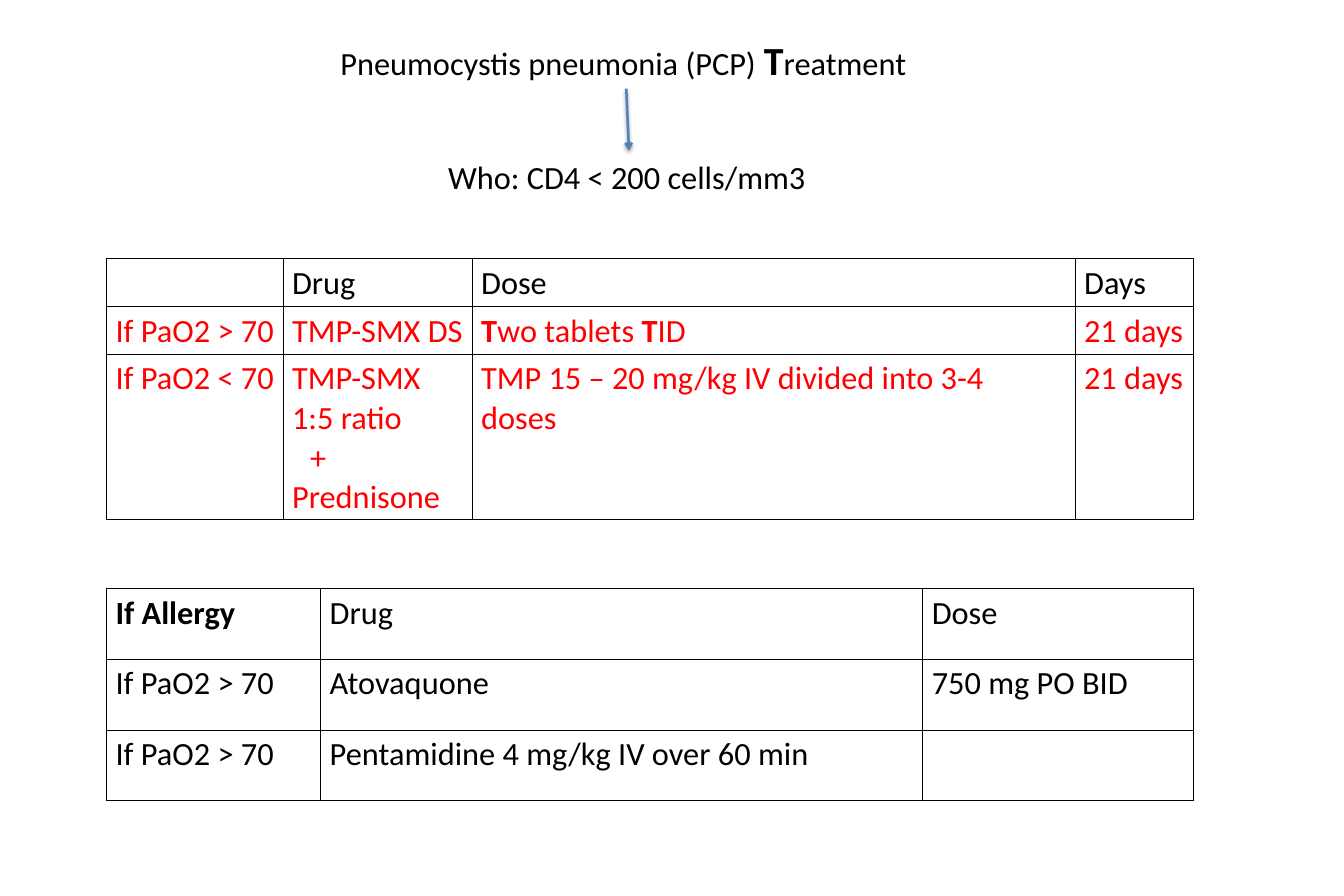
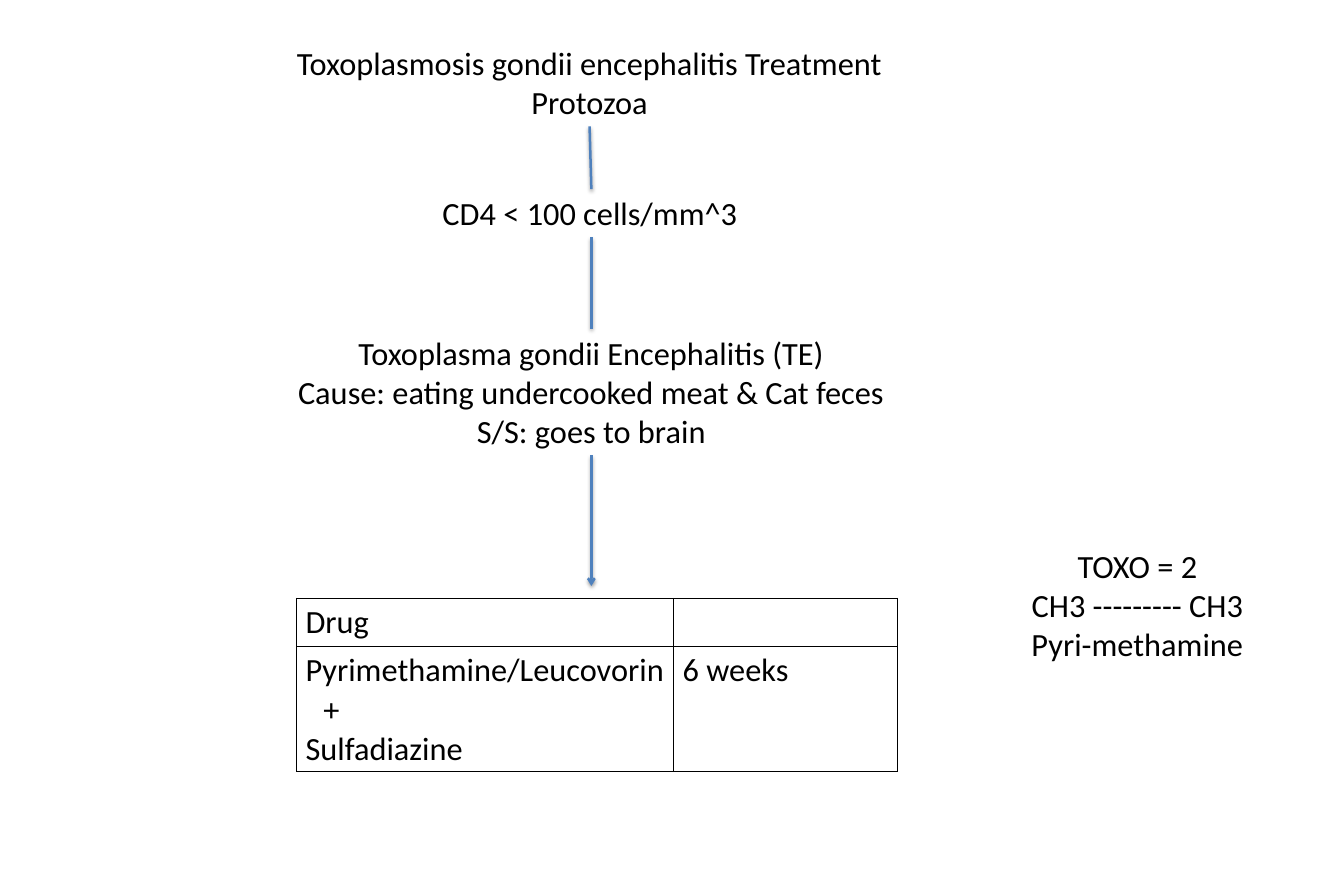
from lxml import etree
from pptx import Presentation
from pptx.dml.color import RGBColor
from pptx.enum import shapes, text
from pptx.oxml import parse_xml
from pptx.util import Inches, Pt

FONT = "Calibri"
SIZE = 26
BLACK = RGBColor(0x00, 0x00, 0x00)
RED = RGBColor(0xFF, 0x00, 0x00)
BLUE = RGBColor(0x4F, 0x81, 0xBD)
LEFT, MID = text.PP_ALIGN.LEFT, text.PP_ALIGN.CENTER
NS = "http://schemas.openxmlformats.org/drawingml/2006/main"
SHADOW = f"""<a:effectLst xmlns:a="{NS}">
  <a:outerShdw blurRad="39370" dist="20320" dir="5400000" rotWithShape="0">
    <a:srgbClr val="000000"><a:alpha val="38000"/></a:srgbClr>
  </a:outerShdw>
</a:effectLst>"""
BORDER = """<a:{side} xmlns:a="{ns}" w="12700">
  <a:solidFill><a:srgbClr val="000000"/></a:solidFill>
</a:{side}>"""


def write(frame, lines, color=BLACK, align=LEFT):
    """Each line is a string or a list of (words, size, bold) runs."""
    for i, line in enumerate(lines):
        para = frame.paragraphs[0] if i == 0 else frame.add_paragraph()
        para.alignment = align
        if line == "+":
            para._p.get_or_add_pPr().set("marL", str(Inches(0.2)))
        runs = [(line, SIZE, False)] if isinstance(line, str) else line
        for words, size, bold in runs:
            run = para.add_run()
            run.text = words
            run.font.name = FONT
            run.font.size = Pt(size)
            run.font.bold = bold
            run.font.color.rgb = color


# Text boxes: left, top, width, height, side inset, top inset, alignment, lines
# Lines: from x, y, to x, y, arrow
# Tables: left, top, column widths, row heights, body colour, rows of cells
pcp = {
    "boxes": [
        (4.86, 1.68, 4.32, 0.58, 0.14, 0.07, LEFT, ["Who: CD4 < 200 cells/mm3"]),
        (3.7, 0.35, 6.59, 0.64, 0.1, 0.05, LEFT, [[
            ("Pneumocystis pneumonia (PCP) ", SIZE, False),
            ("T", 32, True), ("reatment", SIZE, False)]]),
    ],
    "lines": [(6.99, 0.99, 7.02, 1.68, True)],
    "tables": [
        (1.19, 2.89, [1.97, 2.11, 6.73, 1.32], [0.53, 0.53, 1.84], RED, [
            [[], ["Drug"], ["Dose"], ["Days"]],
            [["If PaO2 > 70"], ["TMP-SMX DS"],
             [[("T", SIZE, True), ("wo tablets ", SIZE, False),
               ("T", SIZE, True), ("ID", SIZE, False)]],
             ["21 days"]],
            [["If PaO2 < 70"], ["TMP-SMX", "1:5 ratio", "+", "Prednisone"],
             ["TMP 15 – 20 mg/kg IV divided into 3-4 doses"], ["21 days"]],
        ]),
        (1.19, 6.57, [2.39, 6.72, 3.02], [0.79] * 3, BLACK, [
            [[[("If Allergy", SIZE, True)]], ["Drug"], ["Dose"]],
            [["If PaO2 > 70"], ["Atovaquone"], ["750 mg PO BID"]],
            [["If PaO2 > 70"], ["Pentamidine 4 mg/kg IV over 60 min"], []],
        ]),
    ],
}
toxo = {
    "boxes": [
        (3.14, 0.43, 6.88, 0.98, 0.1, 0.05, MID,
         ["Toxoplasmosis gondii encephalitis Treatment", "Protozoa"]),
        (4.84, 2.11, 3.52, 0.54, 0.1, 0.05, LEFT, ["CD4 < 100 cells/mm^3"]),
        (3.18, 3.67, 6.84, 1.41, 0.1, 0.05, MID,
         ["Toxoplasma gondii Encephalitis (TE)",
          "Cause: eating undercooked meat & Cat feces", "S/S: goes to brain"]),
        (11.4, 6.05, 2.59, 1.41, 0.1, 0.05, MID,
         ["TOXO = 2", "CH3 --------- CH3", "Pyri-methamine"]),
    ],
    "lines": [
        (6.58, 1.41, 6.6, 2.11, False),
        (6.6, 2.65, 6.6, 3.67, False),
        (6.6, 5.08, 6.6, 6.54, True),
    ],
    "tables": [
        (3.31, 6.68, [4.21, 2.5], [0.53, 1.4], BLACK, [
            [["Drug"], []],
            [["Pyrimethamine/Leucovorin", "+", "Sulfadiazine"], ["6 weeks"]],
        ]),
    ],
}

deck = Presentation()
deck.slide_width, deck.slide_height = Inches(15), Inches(10)

for page in (pcp, toxo):
    slide = deck.slides.add_slide(deck.slide_layouts[6])

    for x, y, w, h, side, edge, align, lines in page["boxes"]:
        box = slide.shapes.add_textbox(Inches(x), Inches(y), Inches(w), Inches(h))
        frame = box.text_frame
        frame.word_wrap = False
        frame.auto_size = text.MSO_AUTO_SIZE.SHAPE_TO_FIT_TEXT
        frame.margin_left = frame.margin_right = Inches(side)
        frame.margin_top = frame.margin_bottom = Inches(edge)
        write(frame, lines, align=align)

    for x1, y1, x2, y2, arrow in page["lines"]:
        link = slide.shapes.add_connector(
            shapes.MSO_CONNECTOR.STRAIGHT,
            Inches(x1), Inches(y1), Inches(x2), Inches(y2))
        link.line.color.rgb = BLUE
        link.line.width = Pt(2)
        if arrow:
            etree.SubElement(link.line._get_or_add_ln(), f"{{{NS}}}tailEnd", type="arrow")
        link._element.spPr.append(parse_xml(SHADOW))

    for x, y, cols, rows, color, cells in page["tables"]:
        table = slide.shapes.add_table(
            len(rows), len(cols), Inches(x), Inches(y),
            Inches(sum(cols)), Inches(sum(rows))).table
        table.first_row = table.horz_banding = False
        for col, w in zip(table.columns, cols):
            col.width = Inches(w)
        for r, h in enumerate(rows):
            table.rows[r].height = Inches(h)
            for c, lines in enumerate(cells[r]):
                cell = table.cell(r, c)
                props = cell._tc.get_or_add_tcPr()
                for side in ("lnL", "lnR", "lnT", "lnB"):
                    props.append(parse_xml(BORDER.format(side=side, ns=NS)))
                cell.fill.background()
                write(cell.text_frame, lines, color if r else BLACK)

deck.save("out.pptx")
